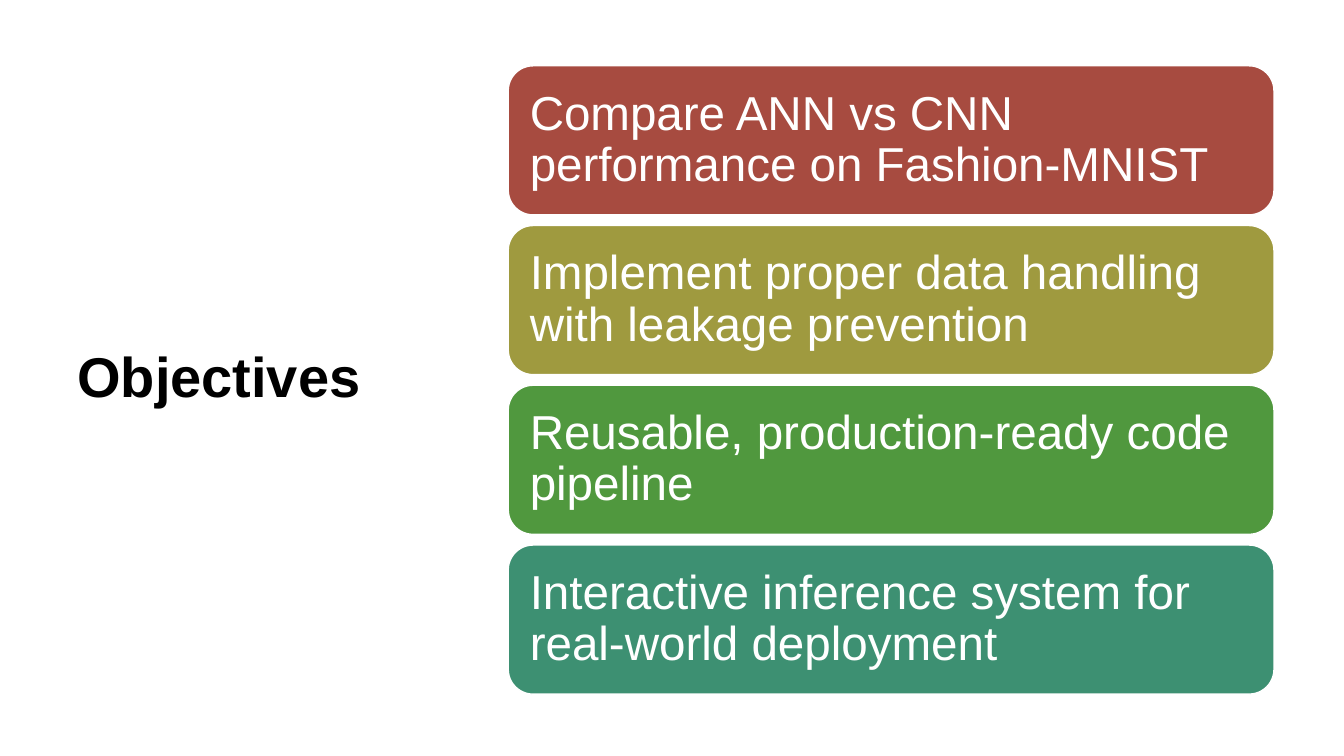
"""Build the Objectives slide: a title beside four stacked goal cards."""
from dataclasses import dataclass

from pptx import Presentation
from pptx import util as u
from pptx.dml.color import RGBColor
from pptx.enum import shapes, text
from pptx.shapes.autoshape import Shape
from pptx.slide import Slide


@dataclass(frozen=True)
class Goal:
    wording: str
    fill: str


GOALS = [
    Goal("Compare ANN vs CNN performance on Fashion-MNIST", "A74B40"),
    Goal("Implement proper data handling with leakage prevention", "9F9A3F"),
    Goal("Reusable, production-ready code pipeline", "50983E"),
    Goal("Interactive inference system for real-world deployment", "3D9072"),
]
CARD_LEFT, CARD_TOP, CARD_WIDTH, CARD_HEIGHT = 363, 47, 547, 106.5
CARD_PITCH = 114.1
CARD_INSET = 10.2


def color(code: str) -> RGBColor:
    return RGBColor.from_string(code)


def apply(target: object, formats: dict[str, object]) -> None:
    for name, value in formats.items():
        setattr(target, name, value)


def write(holder: Shape, wording: str, size: float, ink: str, bold: bool,
          inset_x: float, inset_y: float, gap_after: float) -> None:
    frame = holder.text_frame
    apply(frame, {
        "word_wrap": True,
        "auto_size": text.MSO_AUTO_SIZE.NONE,
        "vertical_anchor": text.MSO_ANCHOR.MIDDLE,
        "margin_left": u.Pt(inset_x),
        "margin_right": u.Pt(inset_x),
        "margin_top": u.Pt(inset_y),
        "margin_bottom": u.Pt(inset_y),
    })
    line = frame.paragraphs[0]
    apply(line, {
        "alignment": text.PP_ALIGN.LEFT,
        "line_spacing": 0.9,
        "space_after": u.Pt(gap_after),
    })
    words = line.add_run()
    words.text = wording
    apply(words.font, {"name": "Arial", "size": u.Pt(size), "bold": bold})
    words.font.color.rgb = color(ink)


def draw_goal(slide: Slide, goal: Goal, top: float) -> None:
    card = slide.shapes.add_shape(
        shapes.MSO_SHAPE.ROUNDED_RECTANGLE,
        u.Pt(CARD_LEFT), u.Pt(top), u.Pt(CARD_WIDTH), u.Pt(CARD_HEIGHT))
    card.shadow.inherit = False
    card.fill.solid()
    card.fill.fore_color.rgb = color(goal.fill)
    card.line.color.rgb = color("FFFFFF")
    card.line.width = u.Pt(1)
    write(card, goal.wording, 34, "FFFFFF", False, CARD_INSET, CARD_INSET, 12)


def main() -> None:
    deck = Presentation()
    apply(deck, {"slide_width": u.Pt(960), "slide_height": u.Pt(540)})
    slide = deck.slides.add_slide(deck.slide_layouts[6])
    heading = slide.shapes.add_textbox(u.Pt(48.2), u.Pt(43.2), u.Pt(275), u.Pt(455.8))
    write(heading, "Objectives", 40, "000000", True, 7.2, 3.6, 0)
    for row, goal in enumerate(GOALS):
        draw_goal(slide, goal, CARD_TOP + row * CARD_PITCH)
    deck.save("out.pptx")


if __name__ == "__main__":
    main()
